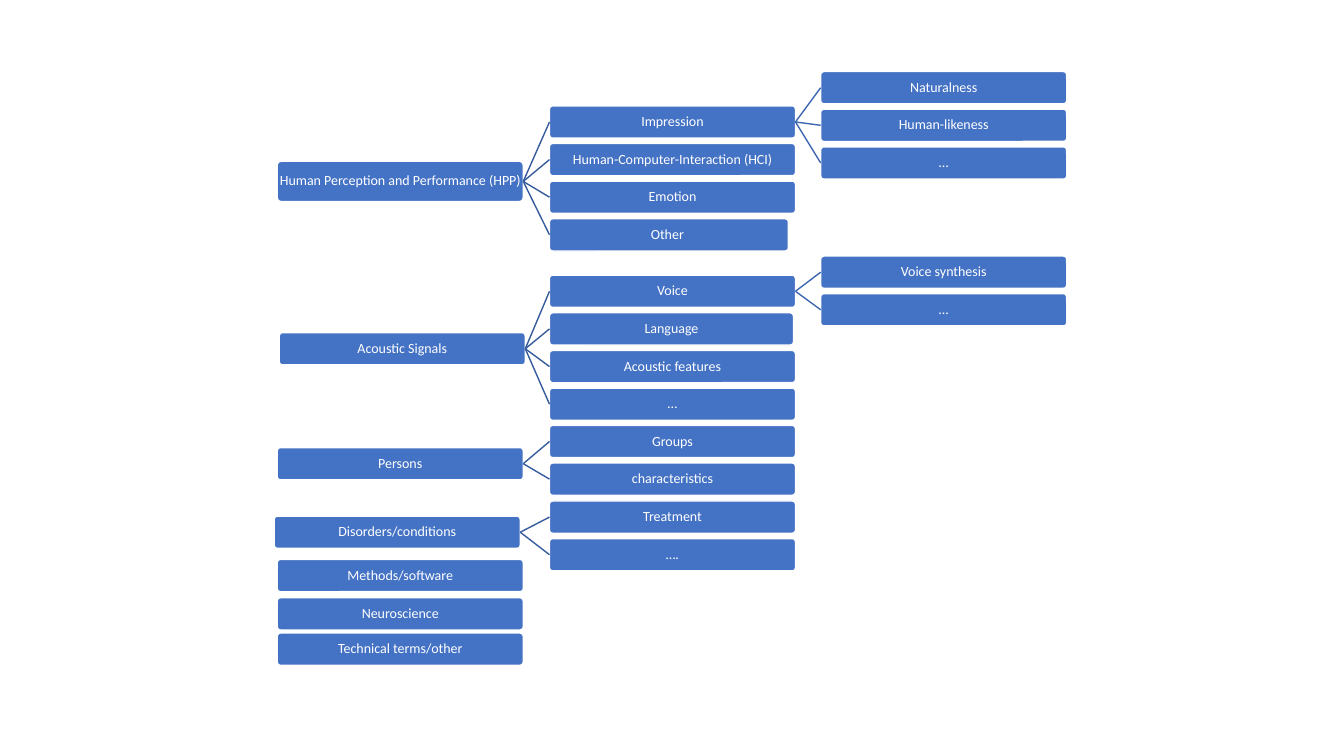
from dataclasses import dataclass, field

from lxml import etree
from pptx import Presentation
from pptx.dml.color import RGBColor
from pptx.enum import shapes, text
from pptx.oxml import ns
from pptx.util import Inches, Pt

COLORS = {"box": "4472C4", "white": "FFFFFF", "branch": "365B9D", "twig": "3E67B2"}
BRANCH_LEFT, TWIG_LEFT = 5.45, 8.14
BOX_WIDTH, BOX_HEIGHT = 2.44, 0.32
ROW_PITCH = 1.12 / 3


@dataclass
class Topic:
    label: str
    left: float
    top: float
    width: float = BOX_WIDTH
    height: float = BOX_HEIGHT
    children: list = field(default_factory=list)


def stack(left, top, *labels):
    """Return topics placed one below another at the common row pitch."""
    return [Topic(label, left, top + row * ROW_PITCH) for row, label in enumerate(labels)]


def build_topics():
    perception = stack(BRANCH_LEFT, 1.05, "Impression", "Human-Computer-Interaction (HCI)",
                       "Emotion", "Other ")
    perception[0].children = stack(TWIG_LEFT, 0.71, "Naturalness", "Human-likeness", "…")
    perception[3].width = 2.37
    acoustics = stack(BRANCH_LEFT, 2.73, "Voice", "Language", "Acoustic features", "…")
    acoustics[0].children = stack(TWIG_LEFT, 2.54, "Voice synthesis", "...")
    acoustics[1].width = 2.42
    return [
        Topic("Human Perception and Performance (HPP)", 2.75, 1.6, height=0.4,
              children=perception),
        Topic("Acoustic Signals", 2.77, 3.3, children=acoustics),
        Topic("Persons", 2.75, 4.44,
              children=stack(BRANCH_LEFT, 4.22, "Groups", "characteristics")),
        Topic("Disorders/conditions", 2.72, 5.12,
              children=stack(BRANCH_LEFT, 4.97, "Treatment", "….")),
        Topic("Methods/software", 2.75, 5.55),
        Topic("Neuroscience", 2.75, 5.93),
        Topic("Technical terms/other", 2.75, 6.28),
    ]


def add_box(page, topic):
    box = page.shapes.add_shape(
        shapes.MSO_SHAPE.ROUNDED_RECTANGLE, Inches(topic.left), Inches(topic.top),
        Inches(topic.width), Inches(topic.height))
    box.adjustments[0] = 0.1
    box.shadow.inherit = False
    box.fill.solid()
    box.fill.fore_color.rgb = RGBColor.from_string(COLORS["box"])
    box.line.color.rgb = RGBColor.from_string(COLORS["white"])
    box.line.width = Pt(1)

    frame = box.text_frame
    frame.margin_left = frame.margin_right = frame.margin_top = frame.margin_bottom = 0
    frame.word_wrap = True
    frame.vertical_anchor = text.MSO_ANCHOR.MIDDLE
    frame.text = topic.label
    para = frame.paragraphs[0]
    para.alignment = text.PP_ALIGN.CENTER
    para.line_spacing = 0.9
    font = para.runs[0].font
    font.name = "Calibri"
    font.size = Pt(10)
    font.color.rgb = RGBColor.from_string(COLORS["white"])
    return box


def join(page, parent, child, color):
    line = page.shapes.add_connector(shapes.MSO_CONNECTOR.STRAIGHT, 0, 0, 0, 0)
    line.begin_connect(parent, 3)
    line.end_connect(child, 1)
    line.line.color.rgb = RGBColor.from_string(color)
    line.line.width = Pt(1)
    etree.SubElement(line._element.spPr, ns.qn("a:effectLst"))


def add_tree(page, topic, line_colors=("branch", "twig")):
    """Draw a topic with everything below it and return its box."""
    box = add_box(page, topic)
    for child in topic.children:
        child_box = add_tree(page, child, line_colors[1:])
        join(page, box, child_box, COLORS[line_colors[0]])
    return box


def main():
    deck = Presentation()
    deck.slide_width, deck.slide_height = Inches(13.33), Inches(7.5)
    page = deck.slides.add_slide(deck.slide_layouts[6])
    for topic in build_topics():
        add_tree(page, topic)
    deck.save("out.pptx")


if __name__ == "__main__":
    main()
